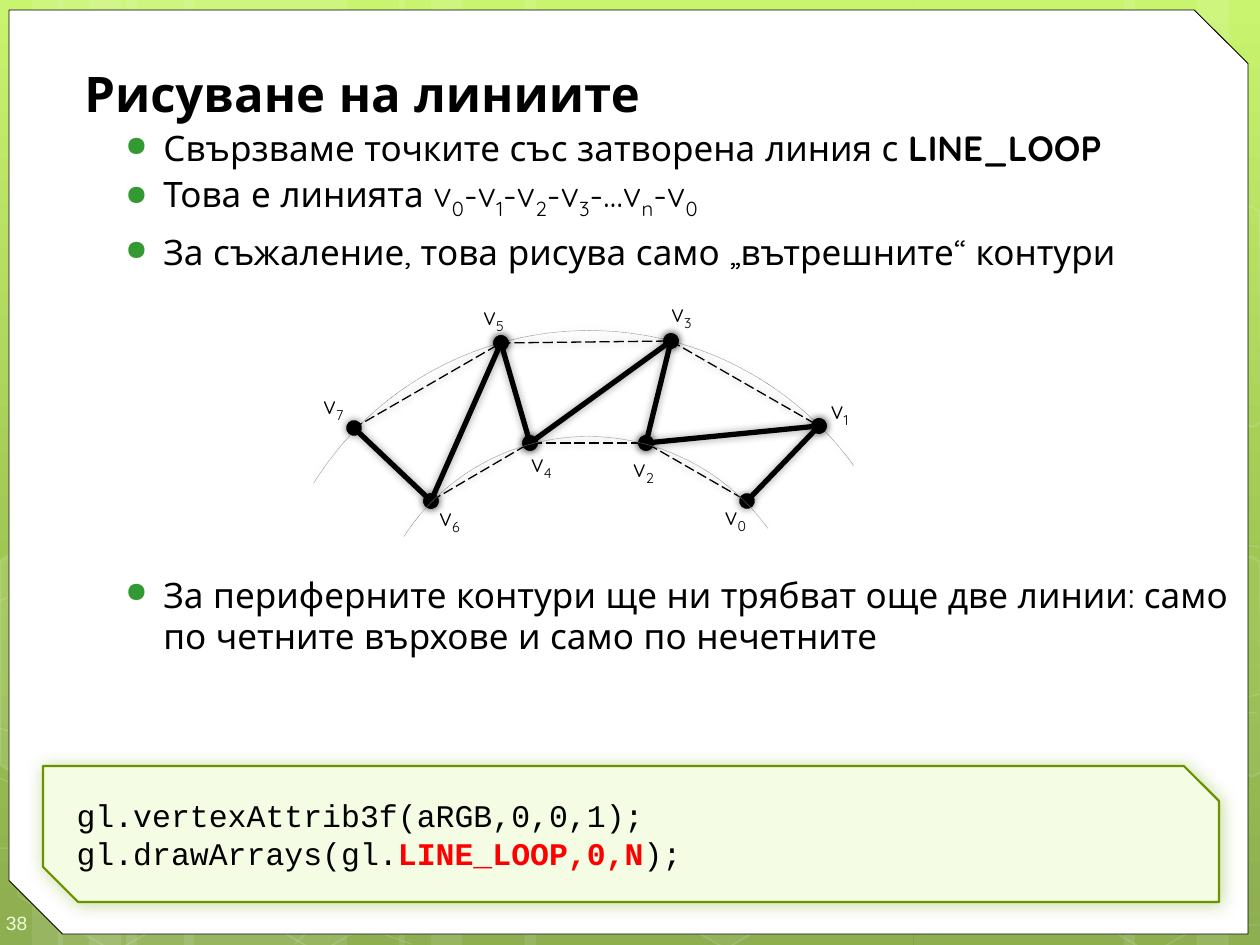
from pptx import Presentation
from pptx.dml.color import RGBColor
from pptx.enum.dml import MSO_LINE_DASH_STYLE as DASH
from pptx.enum.shapes import MSO_CONNECTOR as CONNECTOR, MSO_SHAPE as SHAPE
from pptx.enum.text import MSO_ANCHOR as ANCHOR, PP_ALIGN as ALIGN
from pptx.oxml.ns import qn
from pptx.util import Emu, Pt
from lxml.etree import SubElement

BLACK, WHITE, RED = RGBColor(0, 0, 0), RGBColor(255, 255, 255), RGBColor(255, 0, 0)
GRAY = RGBColor(0x80, 0x80, 0x80)
BULLET_GREEN = RGBColor(0x33, 0x99, 0x33)
NUMBER_GREEN = RGBColor(0xEE, 0xFF, 0xD6)
CODE_FILL = RGBColor(0xF4, 0xFC, 0xE4)
CODE_LINE = RGBColor(0x6D, 0x92, 0x00)
CODE_SHADOW = RGBColor(0x74, 0xA5, 0x10)
GRADIENT = [(0, RGBColor(0xC3, 0xF3, 0x5F)), (62, RGBColor(0x93, 0xBF, 0x3F)),
            (100, RGBColor(0x81, 0xA5, 0x3E))]
STRIPES = [(126, 221), (0, 63), (32, 105), (184, 221), (58, 63), (89, 105), (914, 221),
           (1197, 63), (1124, 105), (525, 388), (399, 63), (431, 105)]
CURVES = [[(-1, 848), (229, 854), (567, 838), (987, 777), (1259, 694)],
          [(-1, 601), (142, 543), (427, 488), (814, 488), (1259, 547)],
          [(-3, 777), (200, 868), (411, 944)],
          [(-1, 728), (151, 776), (438, 848), (781, 905), (1063, 927), (1259, 925)],
          [(295, 944), (370, 871), (478, 805), (756, 728), (990, 708), (1257, 713)]]
HEXAGONS = [(4, 745, 0), (208, 746, 0), (615, 742, 6), (1041, 747, 0)]
LEFT_HEXAGON = [(0, 561), (14, 552), (110, 607), (110, 718), (15, 774), (0, 765)]
RIGHT_HEXAGON = [(1157, 611), (1251, 556), (1260, 562), (1261, 772), (1252, 777), (1155, 722)]
UPPER_HEXAGON = [(x, y - 350) for x, y in RIGHT_HEXAGON]
VERTICES = [(482, 211), (554, 136), (381, 153), (406, 51),
            (265, 153), (236, 53), (166, 211), (89, 138)]
LABELS = [(427, 205), (531, 99), (335, 157), (373, 2),
          (233, 152), (185, 5), (141, 206), (25, 94)]
BULLETS = [("Свързваме точките със затворена линия с ", "LINE_LOOP", 3),
           ("Това е линията v|0|-v|1|-v|2|-v|3|-…v|n|-v|0", "", 6),
           ("За съжаление, това рисува само „вътрешните“ контури", "", 6),
           ("За периферните контури ще ни трябват още две линии: "
            "само по четните върхове и само по нечетните", "", 172)]
CODE = [["gl.vertexAttrib3f(aRGB,0,0,1);"], ["gl.drawArrays(gl.", "LINE_LOOP,0,N", ");"]]


def px(length):
    """Turn pixels into EMU."""
    return Emu(round(length * 914400 / 126))


def add_color(parent, color, percent=100):
    """Add a partly opaque colour element."""
    element = SubElement(parent, qn("a:srgbClr"), val=str(color))
    SubElement(element, qn("a:alpha"), val=str(percent * 1000))


def style_shape(shape, fill=None, fill_alpha=100, line=None, line_width=1, line_alpha=100):
    """Give a shape its fill and outline, without a shadow."""
    shape.shadow.inherit = False
    for target, color, alpha in ((shape.fill, fill, fill_alpha), (shape.line.fill, line, line_alpha)):
        if color is None or alpha == 0:
            target.background()
            continue
        target.solid()
        target.fore_color.rgb = color
        parent = shape._element.spPr if target is shape.fill else shape._element.spPr.find(qn("a:ln"))
        solid = parent.find(qn("a:solidFill"))
        solid.remove(solid[0])
        add_color(solid, color, alpha)
    shape.line.width = Pt(line_width)


def add_shadow(shape, color, blur, direction=0):
    """Add a soft shadow to a shape or connector."""
    properties = shape._element.spPr
    effects = properties.find(qn("a:effectLst"))
    if effects is None:
        effects = SubElement(properties, qn("a:effectLst"))
    shadow = SubElement(effects, qn("a:outerShdw"), blurRad=str(Pt(blur)), dist="0",
                        dir=str(direction * 60000), algn="ctr", rotWithShape="0")
    add_color(shadow, color, 40)


def add_preset(slide, kind, box, adjustments=(), **style):
    """Add a styled preset shape."""
    shape = slide.shapes.add_shape(kind, *map(px, box))
    style_shape(shape, **style)
    for index, value in enumerate(adjustments):
        shape.adjustments[index] = value
    return shape


def add_outline(slide, points, closed, **style):
    """Add a styled freeform through the points."""
    corners = [(px(x), px(y)) for x, y in points]
    builder = slide.shapes.build_freeform(*corners[0], scale=1.0)
    builder.add_line_segments(corners[1:], close=closed)
    style_shape(builder.convert_to_shape(), line=WHITE, **style)


def add_text_frame(slide, *box):
    """Add a wrapping text box and return its frame."""
    frame = slide.shapes.add_textbox(*map(px, box)).text_frame
    frame.word_wrap = True
    return frame


def set_indent(paragraph, left, first=0):
    """Set the left margin and first-line indent."""
    properties = paragraph._p.get_or_add_pPr()
    properties.set("marL", str(px(left)))
    properties.set("indent", str(px(first)))
    return properties


def set_font(font, name, size, color, bold=None):
    """Set the main properties of a font."""
    font.name, font.size, font.bold = name, Pt(size), bold
    font.color.rgb = color


def add_runs(paragraph, text):
    """Add the parts between bars, every second one as a subscript."""
    for index, part in enumerate(text.split("|")):
        run = paragraph.add_run()
        run.text = part
        if index % 2:
            run._r.get_or_add_rPr().set("baseline", "-25000")


def add_backdrop(slide, width, height):
    """Draw the green background, its ornaments and the white panel."""
    fill = slide.background.fill
    fill.gradient()
    fill.gradient_angle = 270
    stops = slide.element.find(".//" + qn("a:gsLst"))
    stops.clear()
    for position, color in GRADIENT:
        add_color(SubElement(stops, qn("a:gs"), pos=str(position * 1000)), color)
    for left, stripe_width in STRIPES:
        add_preset(slide, SHAPE.RECTANGLE, (left, 0, stripe_width, height), fill=WHITE, fill_alpha=10)
    for points in CURVES:
        add_outline(slide, points, False, line_width=0.5, line_alpha=20)
    for left, top, alpha in HEXAGONS:
        add_preset(slide, SHAPE.HEXAGON, (left, top, 221, 192), [0.285], fill=WHITE,
                   fill_alpha=alpha, line=WHITE, line_alpha=12).rotation = 30
    for points, alpha in ((LEFT_HEXAGON, 10), (RIGHT_HEXAGON, 4), (UPPER_HEXAGON, 0)):
        add_outline(slide, points, True, fill=WHITE, fill_alpha=alpha, line_alpha=12)
    add_preset(slide, SHAPE.SNIP_2_DIAG_RECTANGLE, (9, 10, width - 21, height - 21), [0, 0.058],
               fill=WHITE, line=BLACK, line_width=0.5)


def add_page_number(slide, *box):
    """Write the slide number."""
    frame = add_text_frame(slide, *box)
    frame.vertical_anchor = ANCHOR.MIDDLE
    frame.margin_left, frame.margin_top, frame.margin_right, frame.margin_bottom = map(px, (6, 19, 0, 13))
    frame.text = "38"
    set_font(frame.paragraphs[0].font, "Arial", 11, NUMBER_GREEN)


def add_body(slide, *box):
    """Write the heading and its bullets."""
    frame = add_text_frame(slide, *box)
    heading = frame.paragraphs[0]
    heading.text = "Рисуване на линиите"
    set_indent(heading, 9)
    heading.line_spacing = Pt(36.5)
    set_font(heading.font, "Quicksand", 28, BLACK, True)
    for text, bold_text, space in BULLETS:
        bullet = frame.add_paragraph()
        add_runs(bullet, text)
        if bold_text:
            run = bullet.add_run()
            run.text, run.font.bold = bold_text, True
        bullet.space_before, bullet.line_spacing = Pt(space), Pt(23.7)
        properties = set_indent(bullet, 88, -38)
        add_color(SubElement(properties, qn("a:buClr")), BULLET_GREEN)
        SubElement(properties, qn("a:buSzPct"), val="80000")
        SubElement(properties, qn("a:buChar"), char="●")
        set_font(bullet.font, "Quicksand", 20, BLACK)


def add_arc(slide, box, angles):
    """Draw a thin dotted guide arc."""
    arc = add_preset(slide, SHAPE.ARC, box, angles, line=GRAY, line_width=0.25)
    arc.line.dash_style = DASH.ROUND_DOT
    arc.rotation = 323.7
    add_shadow(arc, BLACK, 5)


def add_edge(slide, start, end, width, dash=None):
    """Draw an edge with a dot at both ends."""
    edge = slide.shapes.add_connector(CONNECTOR.STRAIGHT, *map(px, start + end))
    edge.line.color.rgb, edge.line.width, edge.line.dash_style = BLACK, Pt(width), dash
    for tip in ("a:headEnd", "a:tailEnd"):
        SubElement(edge._element.spPr.find(qn("a:ln")), qn(tip), type="oval")
    add_shadow(edge, BLACK, 5)


def add_diagram(slide, left, top):
    """Draw the zigzag strip of numbered vertices between two arcs."""
    vertices = [(left + x, top + y) for x, y in VERTICES]
    add_arc(slide, (left, top + 40, 651, 654), (149.06, 0.17))
    for step, width, dash in ((2, 0.75, DASH.LONG_DASH), (1, 3, None)):
        for start, end in zip(vertices, vertices[step:]):
            add_edge(slide, start, end, width, dash)
    for number, (x, y) in enumerate(LABELS):
        paragraph = add_text_frame(slide, left + x, top + y, 78, 43).paragraphs[0]
        add_runs(paragraph, f"v|{number}")
        paragraph.alignment = ALIGN.CENTER
        set_indent(paragraph, 9)
        set_font(paragraph.font, "Quicksand", 14, BLACK)
    add_arc(slide, (left + 104, top + 146, 441, 444), (149.66, 0.14))


def add_code(slide, *box):
    """Show the code lines in a snipped box."""
    shape = add_preset(slide, SHAPE.SNIP_2_DIAG_RECTANGLE, box, [0, 0.258],
                       fill=CODE_FILL, line=CODE_LINE, line_width=1.25)
    add_shadow(shape, CODE_SHADOW, 10, 45)
    frame = shape.text_frame
    frame.word_wrap, frame.vertical_anchor = False, ANCHOR.MIDDLE
    frame.margin_left = frame.margin_right = 0
    for index, parts in enumerate(CODE):
        paragraph = frame.add_paragraph() if index else frame.paragraphs[0]
        paragraph.alignment = ALIGN.LEFT
        set_indent(paragraph, 16)
        set_font(paragraph.font, "Courier New", 18, BLACK)
        for position, text in enumerate(parts):
            run = paragraph.add_run()
            run.text, run.font.bold = text, position == 1
            run.font.color.rgb = RED if position == 1 else BLACK


presentation = Presentation()
presentation.slide_width, presentation.slide_height = px(1260), px(945)
slide = presentation.slides.add_slide(presentation.slide_layouts[6])
add_backdrop(slide, 1260, 945)
add_page_number(slide, 0, 895, 73, 50)
add_body(slide, 63, 52, 1187, 883)
add_diagram(slide, 265, 290)
add_code(slide, 43, 766, 1176, 136)
presentation.save("out.pptx")
